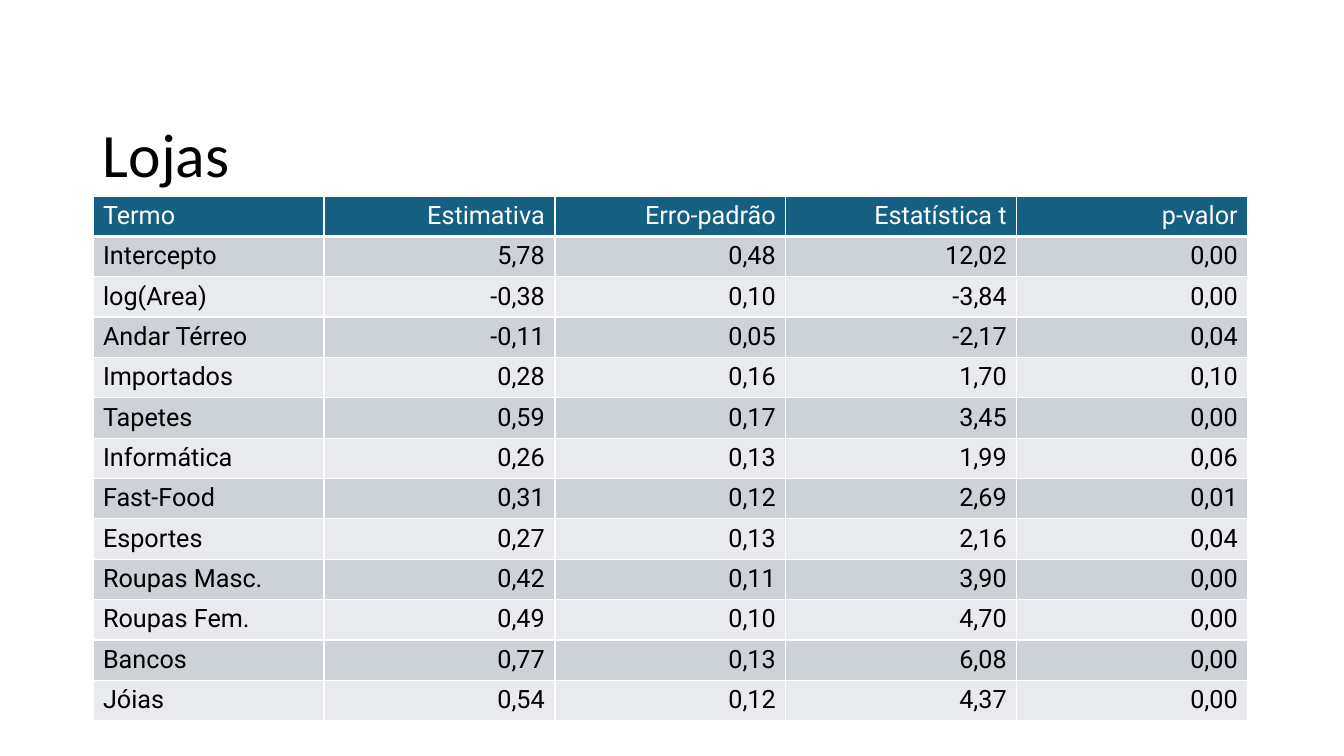
import pptx
import pptx.dml.color
import pptx.enum.text
import pptx.oxml
import pptx.oxml.ns
import pptx.util

TITLE = "Lojas"
HEADER = ("Termo", "Estimativa", "Erro-padrão", "Estatística t", "p-valor")
TERMS = [
    ("Intercepto", "5,78", "0,48", "12,02", "0,00"),
    ("log(Area)", "-0,38", "0,10", "-3,84", "0,00"),
    ("Andar Térreo", "-0,11", "0,05", "-2,17", "0,04"),
    ("Importados", "0,28", "0,16", "1,70", "0,10"),
    ("Tapetes", "0,59", "0,17", "3,45", "0,00"),
    ("Informática", "0,26", "0,13", "1,99", "0,06"),
    ("Fast-Food", "0,31", "0,12", "2,69", "0,01"),
    ("Esportes", "0,27", "0,13", "2,16", "0,04"),
    ("Roupas Masc.", "0,42", "0,11", "3,90", "0,00"),
    ("Roupas Fem.", "0,49", "0,10", "4,70", "0,00"),
    ("Bancos", "0,77", "0,13", "6,08", "0,00"),
    ("Jóias", "0,54", "0,12", "4,37", "0,00"),
]

BLACK = pptx.dml.color.RGBColor(0x00, 0x00, 0x00)
WHITE = pptx.dml.color.RGBColor(0xFF, 0xFF, 0xFF)
TEAL = pptx.dml.color.RGBColor(0x15, 0x60, 0x82)
GREY = pptx.dml.color.RGBColor(0xCC, 0xD2, 0xD8)
PALE = pptx.dml.color.RGBColor(0xE8, 0xEA, 0xED)

LEFT_ALIGN = pptx.enum.text.PP_ALIGN.LEFT
RIGHT_ALIGN = pptx.enum.text.PP_ALIGN.RIGHT
MIDDLE = pptx.enum.text.MSO_ANCHOR.MIDDLE

PIXELS_PER_INCH = 100.8
SLIDE_WIDTH, SLIDE_HEIGHT = 1344, 756
LEFT = 93
TITLE_TOP, TITLE_WIDTH, TITLE_HEIGHT = 109, 1159, 98
TABLE_TOP, COLUMN_WIDTH, ROW_HEIGHT = 196, 231, 39


def px(length):
    return pptx.util.Inches(length / PIXELS_PER_INCH)


def write(frame, text, *, font, size, color, align=LEFT_ALIGN, spacing=None):
    para = frame.paragraphs[0]
    para.alignment = align
    para.line_spacing = spacing
    span = para.add_run()
    span.text = text
    span.font.name = font
    span.font.size = pptx.util.Pt(size)
    span.font.color.rgb = color


def add_borders(cell, bottom):
    properties = cell._tc.get_or_add_tcPr()
    for side, points in (("L", 1), ("R", 1), ("T", 1), ("B", bottom)):
        properties.append(pptx.oxml.parse_xml(
            f'<a:ln{side} {pptx.oxml.ns.nsdecls("a")} w="{pptx.util.Pt(points)}">'
            f'<a:solidFill><a:srgbClr val="{WHITE}"/></a:solidFill></a:ln{side}>'
        ))


def add_title(page):
    box = page.shapes.add_textbox(
        px(LEFT), px(TITLE_TOP), px(TITLE_WIDTH), px(TITLE_HEIGHT))
    box.text_frame.word_wrap = True
    box.text_frame.vertical_anchor = MIDDLE
    write(box.text_frame, TITLE, font="Calibri", size=44, color=BLACK, spacing=0.9)


def add_estimates(page):
    rows = [HEADER, *TERMS]
    table = page.shapes.add_table(
        len(rows), len(HEADER), px(LEFT), px(TABLE_TOP),
        px(COLUMN_WIDTH * len(HEADER)), px(ROW_HEIGHT * len(rows))).table
    for column in table.columns:
        column.width = px(COLUMN_WIDTH)
    for i, values in enumerate(rows):
        is_header = i == 0
        band = TEAL if is_header else GREY if i % 2 else PALE
        table.rows[i].height = px(ROW_HEIGHT)
        for j, value in enumerate(values):
            cell = table.cell(i, j)
            add_borders(cell, bottom=3 if is_header else 1)
            cell.fill.solid()
            cell.fill.fore_color.rgb = band
            write(cell.text_frame, value, font="Roboto", size=18,
                  color=WHITE if is_header else BLACK,
                  align=RIGHT_ALIGN if j else LEFT_ALIGN)
    table.first_row = True
    table.horz_banding = True


def main():
    deck = pptx.Presentation()
    deck.slide_width = px(SLIDE_WIDTH)
    deck.slide_height = px(SLIDE_HEIGHT)
    page = deck.slides.add_slide(deck.slide_layouts[6])
    add_title(page)
    add_estimates(page)
    deck.save("out.pptx")


if __name__ == "__main__":
    main()
